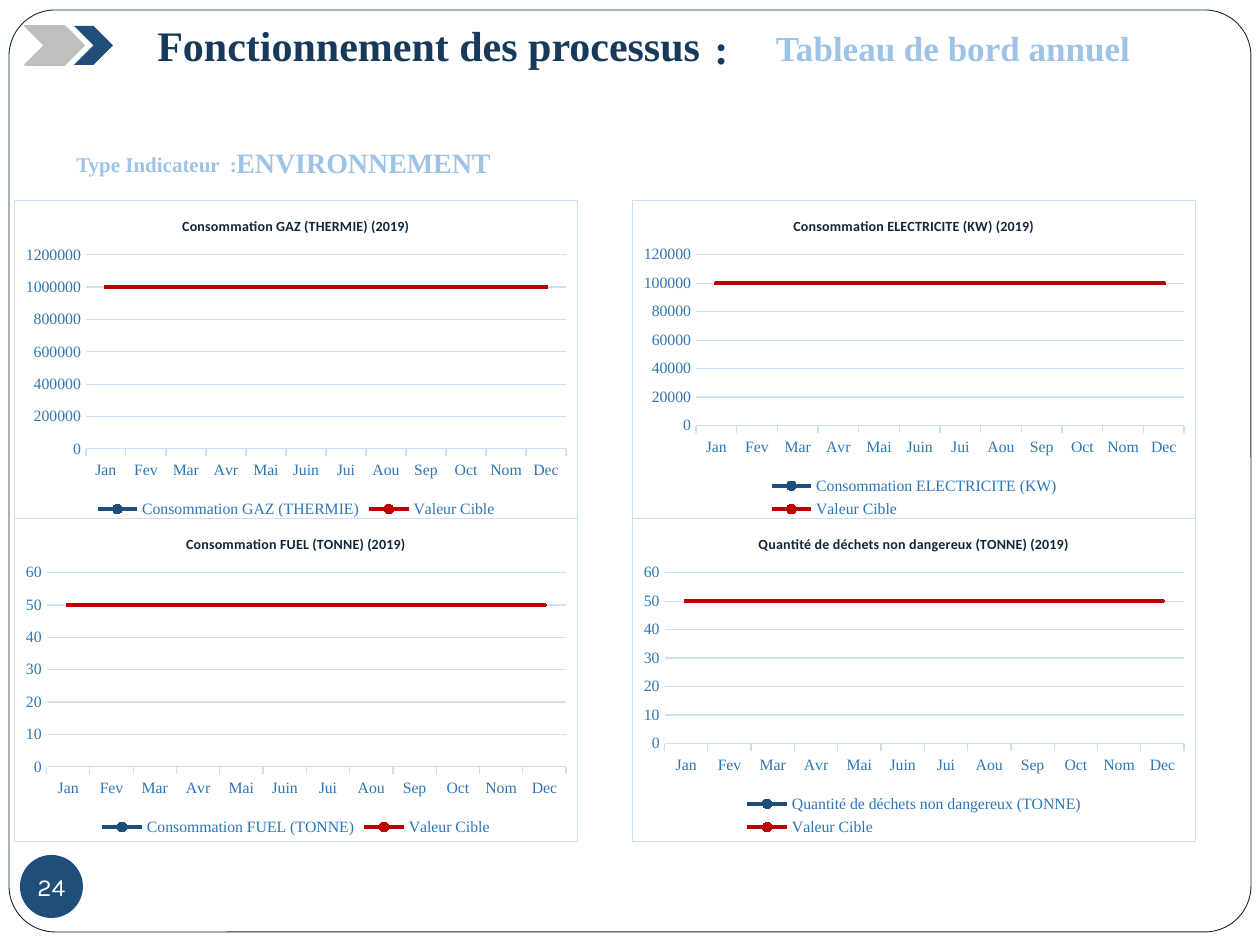
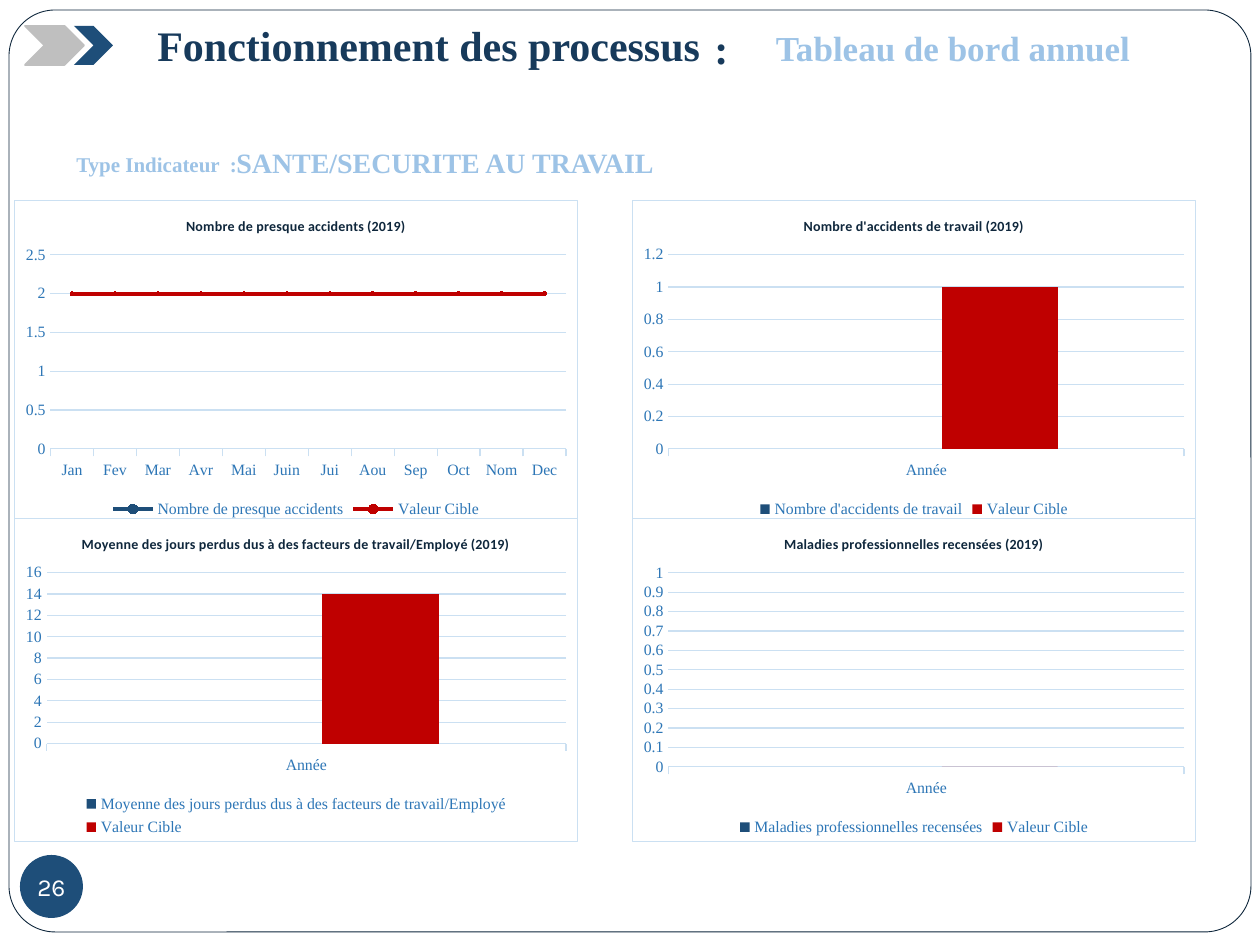
from lxml.etree import SubElement
from pptx import Presentation
from pptx.chart.data import CategoryChartData as Data
from pptx.dml.color import RGBColor
from pptx.enum.chart import XL_CHART_TYPE as Kind, XL_LEGEND_POSITION as Place
from pptx.enum.chart import XL_MARKER_STYLE as Mark, XL_TICK_MARK as Tick
from pptx.enum.shapes import MSO_SHAPE as Shape
from pptx.enum.text import MSO_ANCHOR as Anchor, MSO_AUTO_SIZE as Auto, PP_ALIGN as Align
from pptx.oxml.ns import qn
from pptx.util import Pt

SCALE = 914400 / 126
INK, NAVY, BLUE, SKY, PALE = "0F273C", "173A5B", "1E4E79", "9DC3E6", "CBE0F2"
LABEL, RED, GREY, WHITE = "2D76B6", "BF0000", "BFBFBF", "FFFFFF"
SERIF = "Times New Roman"
MONTHS = "Jan Fev Mar Avr Mai Juin Jui Aou Sep Oct Nom Dec".split()
YEAR = ["Année"]
LEFTS, TOPS, WIDE, HIGH = (14, 632), (200, 518), 564, 324


def px(*sizes):
    return [round(size * SCALE) for size in sizes]


def tint(code):
    return RGBColor.from_string(code)


def style(font, size, code, bold=False, face=SERIF):
    font.name, font.size, font.bold = face, Pt(size), bold
    font.color.rgb = tint(code)


def stroke(line, code, width):
    line.color.rgb = tint(code)
    line.width = Pt(width)


class Deck:
    def __init__(self):
        self.prs = Presentation()
        self.prs.slide_width, self.prs.slide_height = px(1260, 945)
        self.slide = None

    def shape(self, kind, box, fill, edge=None, width=1):
        item = self.slide.shapes.add_shape(kind, *px(*box))
        item.shadow.inherit = False
        item.fill.solid()
        item.fill.fore_color.rgb = tint(fill)
        if edge:
            stroke(item.line, edge, width)
        else:
            item.line.fill.background()
        return item

    def text(self, words, box, size, code, align=Align.LEFT, wrap=True):
        frame = self.slide.shapes.add_textbox(*px(*box)).text_frame
        frame.word_wrap = wrap
        frame.auto_size = Auto.SHAPE_TO_FIT_TEXT
        frame.text = words
        para = frame.paragraphs[0]
        para.alignment = align
        style(para.runs[0].font, size, code, True)

    def badge(self, number):
        disc = self.shape(Shape.OVAL, (20, 855, 63, 63), BLUE)
        frame = disc.text_frame
        frame.margin_left = frame.margin_right = frame.margin_top = frame.margin_bottom = 0
        frame.word_wrap = False
        frame.vertical_anchor = Anchor.MIDDLE
        frame.text = str(number)
        para = frame.paragraphs[0]
        para.alignment = Align.CENTER
        style(para.runs[0].font, 14, WHITE, face="Karla")

    def page(self, number, theme):
        self.slide = self.prs.slides.add_slide(self.prs.slide_layouts[6])
        frame = self.shape(Shape.ROUNDED_RECTANGLE, (9, 10, 1242, 922), WHITE, INK, 0.5)
        frame.adjustments[0] = 0.05
        self.text("Tableau de bord annuel", (646, 20, 614, 55), 20, SKY, Align.CENTER)
        self.text(theme, (224, 139, 892, 47), 16, SKY)
        self.shape(Shape.CHEVRON, (25, 26, 59, 39), GREY, GREY)
        self.shape(Shape.CHEVRON, (74, 26, 39, 39), BLUE)
        self.text("Fonctionnement des processus", (145, 13, 753, 63), 24, NAVY)
        self.badge(number)
        self.text(":", (702, 16, 38, 63), 24, NAVY, wrap=False)
        self.text("Type Indicateur  :", (64, 145, 417, 38), 12, SKY)

    def chart(self, spot, name, goal, cats):
        row, col = divmod(spot, 2)
        lines = cats is MONTHS
        data = Data()
        data.categories = cats
        data.add_series(name, [None] * len(cats))
        data.add_series("Valeur Cible", [goal] * len(cats))
        kind = Kind.LINE_MARKERS if lines else Kind.COLUMN_CLUSTERED
        box = px(LEFTS[col], TOPS[row], WIDE, HIGH)
        chart = self.slide.shapes.add_chart(kind, *box, data).chart
        style(chart.font, 10, INK)
        self.title(chart, f"{name} (2019)")
        self.axes(chart)
        self.border(chart)
        chart.has_legend = True
        chart.legend.position = Place.BOTTOM
        chart.legend.include_in_layout = False
        style(chart.legend.font, 9, LABEL)
        plot = chart.plots[0]
        plot.vary_by_categories = False
        if not lines:
            plot.gap_width, plot.overlap = 219, -27
        for item, code, size in zip(plot.series, (BLUE, RED), (5, 2)):
            if lines:
                self.trace(item, code, size)
            else:
                item.format.fill.solid()
                item.format.fill.fore_color.rgb = tint(code)

    def trace(self, item, code, size):
        item.smooth = False
        stroke(item.format.line, code, 2.25)
        mark = item.marker
        mark.style, mark.size = Mark.CIRCLE, size
        mark.format.fill.solid()
        mark.format.fill.fore_color.rgb = tint(code)
        stroke(mark.format.line, code, 0.75)

    def title(self, chart, words):
        chart.has_title = True
        head = chart.chart_title
        head.text_frame.text = words
        style(head.text_frame.paragraphs[0].runs[0].font, 8, INK, True, "Calibri")
        head._element.get_or_add_overlay().set("val", "1") if hasattr(
            head._element, "get_or_add_overlay") else head._element.find(
            qn("c:overlay")).set("val", "1")

    def axes(self, chart):
        base, side = chart.category_axis, chart.value_axis
        for axis in (base, side):
            style(axis.tick_labels.font, 9, LABEL)
            axis.minor_tick_mark = Tick.NONE
        base.major_tick_mark = Tick.OUTSIDE
        stroke(base.format.line, PALE, 0.75)
        side.major_tick_mark = Tick.NONE
        side.format.line.fill.background()
        side.has_major_gridlines = True
        stroke(side.major_gridlines.format.line, PALE, 0.75)

    def border(self, chart):
        space = chart._chartSpace
        look = SubElement(space, qn("c:spPr"))
        space.find(qn("c:chart")).addnext(look)
        line = None
        for code in (WHITE, PALE):
            home = look if line is None else line
            fill = SubElement(home, qn("a:solidFill"))
            SubElement(fill, qn("a:srgbClr"), val=code)
            if line is None:
                line = SubElement(look, qn("a:ln"), w=str(Pt(0.75)))


PAGES = [
    (24, "ENVIRONNEMENT", [
        ("Consommation GAZ (THERMIE)", 1000000, MONTHS),
        ("Consommation ELECTRICITE (KW)", 100000, MONTHS),
        ("Consommation FUEL (TONNE)", 50, MONTHS),
        ("Quantité de déchets non dangereux (TONNE)", 50, MONTHS),
    ]),
    (26, "SANTE/SECURITE AU TRAVAIL", [
        ("Nombre de presque accidents", 2, MONTHS),
        ("Nombre d'accidents de travail", 1, YEAR),
        ("Moyenne des jours perdus dus à des facteurs de travail/Employé", 14, YEAR),
        ("Maladies professionnelles recensées", 0, YEAR),
    ]),
]


def main():
    deck = Deck()
    for number, theme, charts in PAGES:
        deck.page(number, theme)
        for spot, (name, goal, cats) in enumerate(charts):
            deck.chart(spot, name, goal, cats)
    deck.prs.save("out.pptx")


if __name__ == "__main__":
    main()
